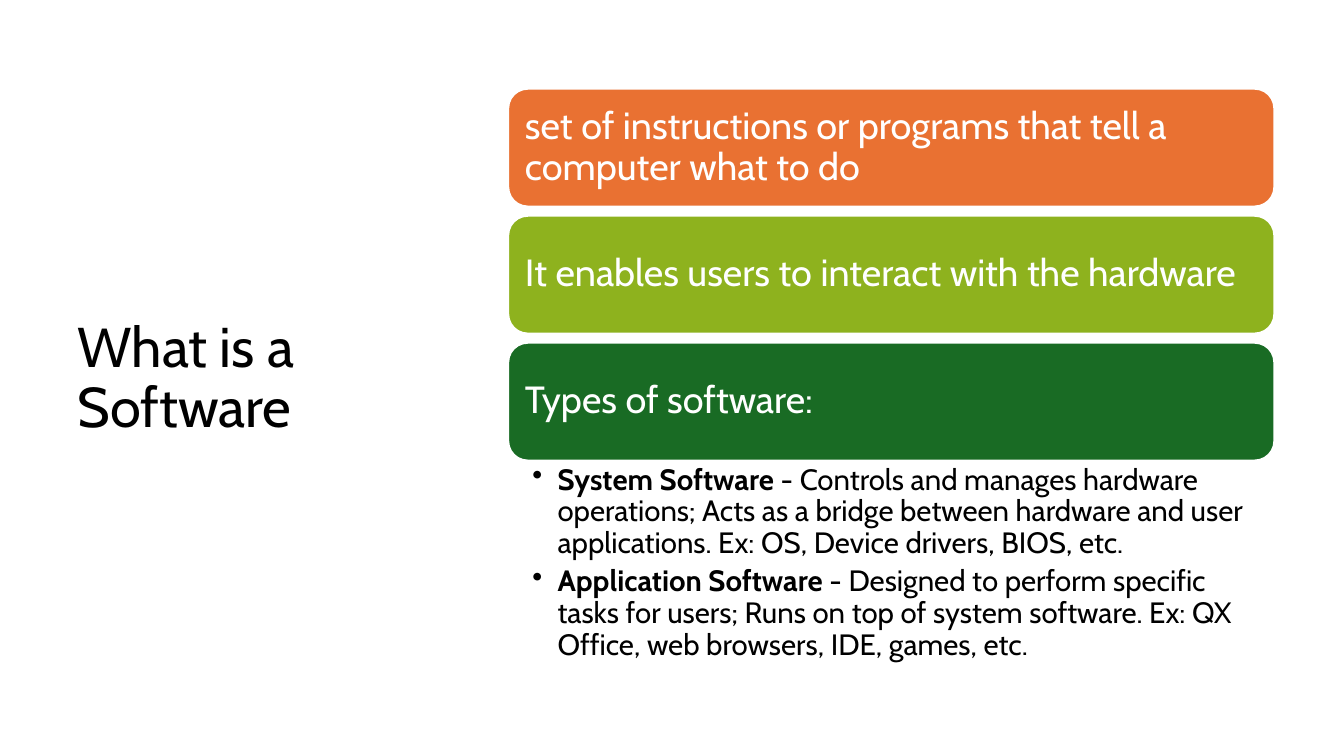
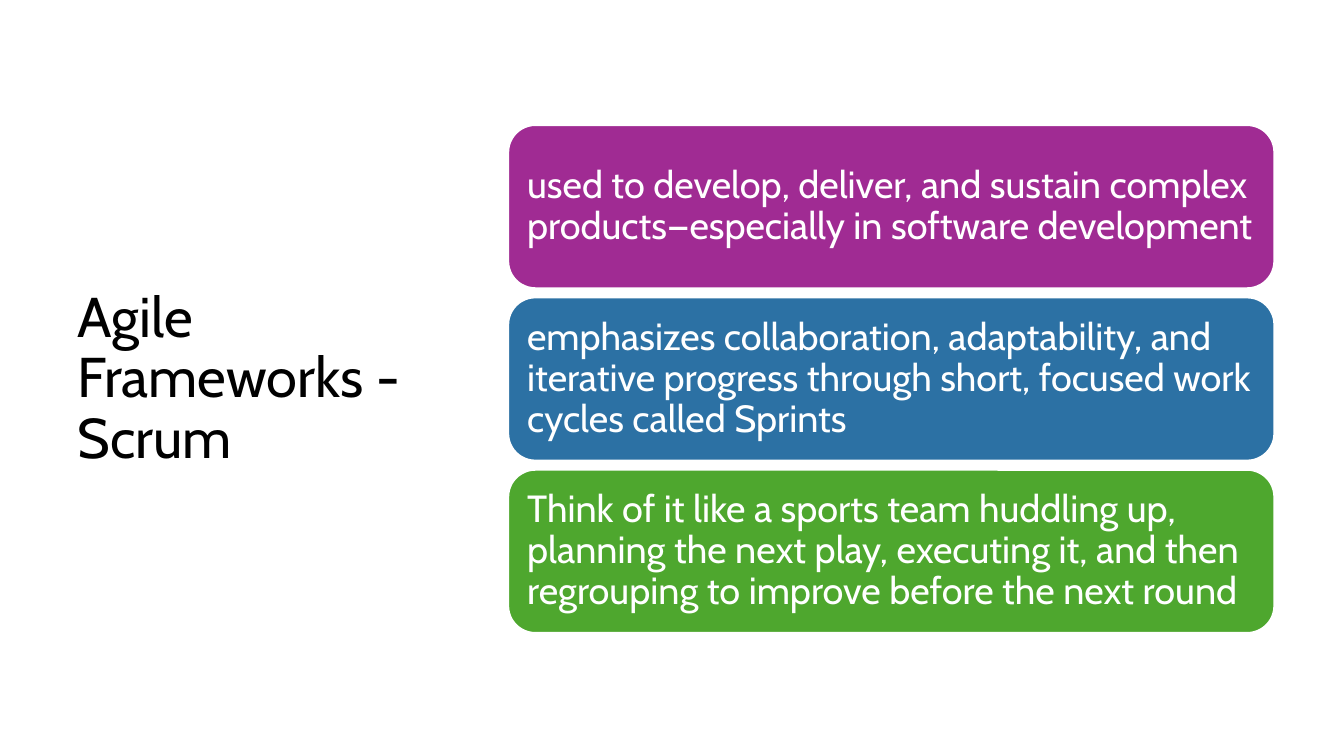
from dataclasses import dataclass

from lxml.etree import SubElement
from pptx import Presentation
from pptx.dml.color import RGBColor
from pptx.enum.shapes import MSO_SHAPE
from pptx.enum.text import MSO_ANCHOR, PP_ALIGN
from pptx.oxml.ns import qn
from pptx.slide import Slide
from pptx.text.text import TextFrame, _Paragraph
from pptx.util import Inches, Pt

FONT = "Cabin"
COLORS = {
    "black": "000000",
    "white": "FFFFFF",
    "orange": "E97132",
    "lime": "8EB21E",
    "forest": "196B24",
    "purple": "A02B93",
    "blue": "2C71A4",
    "green": "4EA72E",
}
LEFT, WIDTH, GAP = 5.04, 7.6, 0.09


@dataclass
class Bar:
    text: str
    color: str


@dataclass
class Stack:
    title: str
    top: float
    height: float
    bars: list[Bar]


@dataclass
class Point:
    term: str
    text: str


STACKS = [
    Stack("What is a Software", 0.88, 1.17, [
        Bar("set of instructions or programs that tell a computer what to do", "orange"),
        Bar("It enables users to interact with the hardware", "lime"),
        Bar("Types of software:", "forest"),
    ]),
    Stack("Agile Frameworks - Scrum", 1.24, 1.62, [
        Bar("used to develop, deliver, and sustain complex products—especially in "
            "software development", "purple"),
        Bar("emphasizes collaboration, adaptability, and iterative progress through "
            "short, focused work cycles called Sprints", "blue"),
        Bar("Think of it like a sports team huddling up, planning the next play, "
            "executing it, and then regrouping to improve before the next round", "green"),
    ]),
]
POINTS = [
    Point("System Software ", "- Controls and manages hardware operations; Acts as a bridge "
          "between hardware and user applications. Ex: OS, Device drivers, BIOS, etc."),
    Point("Application Software ", "- Designed to perform specific tasks for users; Runs on "
          "top of system software. Ex: QX Office, web browsers, IDE, games, etc."),
]


def rgb(name: str) -> RGBColor:
    return RGBColor.from_string(COLORS[name])


def set_frame(frame: TextFrame, anchor: MSO_ANCHOR, left: float, top: float, right: float) -> None:
    frame.word_wrap = True
    frame.vertical_anchor = anchor
    frame.margin_left, frame.margin_right = Inches(left), Inches(right)
    frame.margin_top = frame.margin_bottom = Inches(top)


def add_run(para: _Paragraph, text: str, size: int, color: str, bold: bool = False) -> None:
    para.alignment = PP_ALIGN.LEFT
    para.line_spacing = 0.9
    run = para.add_run()
    run.text = text
    run.font.name = FONT
    run.font.size = Pt(size)
    run.font.bold = bold
    run.font.color.rgb = rgb(color)


def add_title(slide: Slide, text: str) -> None:
    box = slide.shapes.add_textbox(Inches(0.67), Inches(0.6), Inches(3.82), Inches(6.33))
    set_frame(box.text_frame, MSO_ANCHOR.MIDDLE, 0.1, 0.05, 0.1)
    add_run(box.text_frame.paragraphs[0], text, 40, "black")


def add_bar(slide: Slide, bar: Bar, top: float, height: float) -> None:
    shape = slide.shapes.add_shape(
        MSO_SHAPE.ROUNDED_RECTANGLE, Inches(LEFT), Inches(top), Inches(WIDTH), Inches(height))
    shape.shadow.inherit = False
    shape.fill.solid()
    shape.fill.fore_color.rgb = rgb(bar.color)
    shape.line.color.rgb = rgb("white")
    shape.line.width = Pt(1.5)
    set_frame(shape.text_frame, MSO_ANCHOR.MIDDLE, 0.11, 0.11, 0.11)
    add_run(shape.text_frame.paragraphs[0], bar.text, 27, "white")


def add_points(slide: Slide, points: list[Point], top: float) -> None:
    box = slide.shapes.add_textbox(Inches(LEFT), Inches(top), Inches(WIDTH), Inches(2.08))
    frame = box.text_frame
    set_frame(frame, MSO_ANCHOR.TOP, 0.24, 0.04, 0.21)
    for i, point in enumerate(points):
        para = frame.add_paragraph() if i else frame.paragraphs[0]
        props = para._p.get_or_add_pPr()
        props.set("marL", str(Inches(0.25)))
        props.set("indent", str(Inches(-0.25)))
        SubElement(props, qn("a:buChar")).set("char", "•")
        para.space_after = Pt(4.5)
        add_run(para, point.term, 21, "black", True)
        add_run(para, point.text, 21, "black")


def add_stack(deck: Presentation, stack: Stack) -> Slide:
    slide = deck.slides.add_slide(deck.slide_layouts[6])
    add_title(slide, stack.title)
    for i, bar in enumerate(stack.bars):
        add_bar(slide, bar, stack.top + i * (stack.height + GAP), stack.height)
    return slide


def main() -> None:
    deck = Presentation()
    deck.slide_width, deck.slide_height = Inches(13.33), Inches(7.5)
    slides = [add_stack(deck, stack) for stack in STACKS]
    add_points(slides[0], POINTS, 4.57)
    deck.save("out.pptx")


if __name__ == "__main__":
    main()
